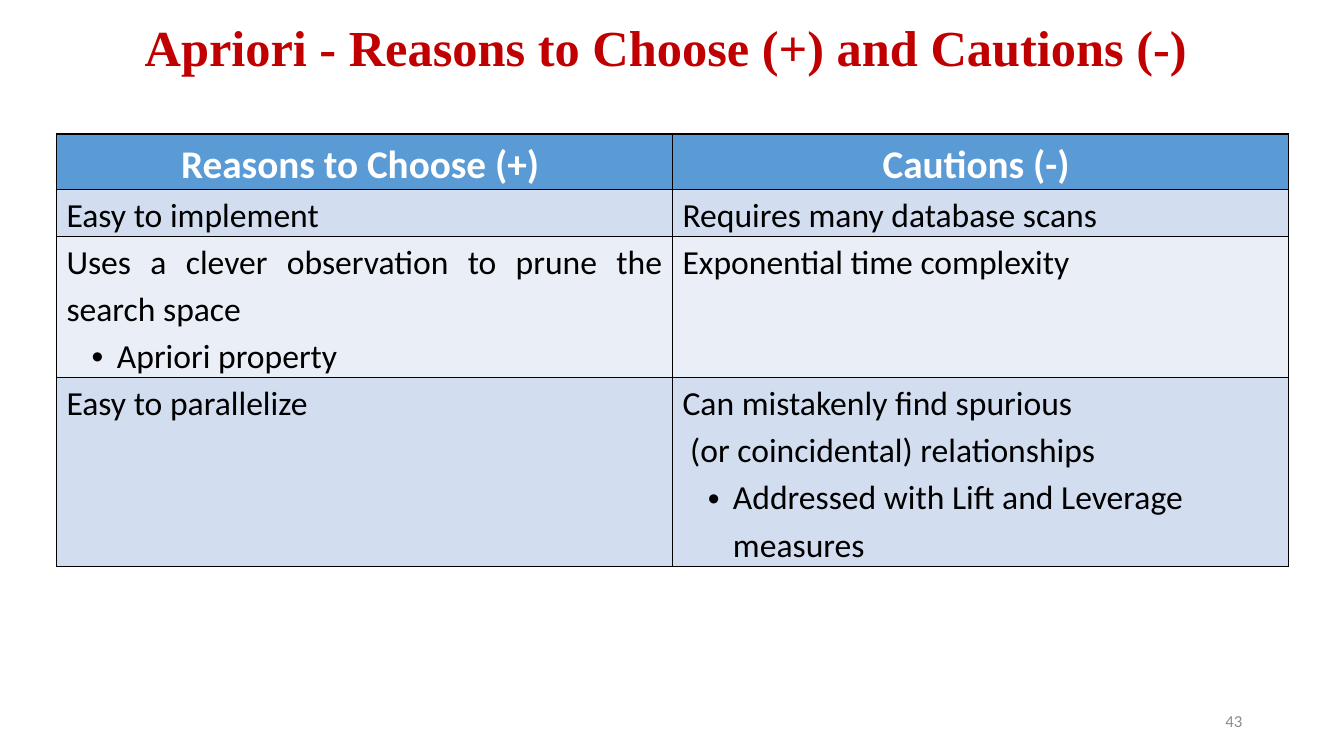
"""Build the slide on reasons to choose Apriori and its cautions."""
from lxml.etree import SubElement
from pptx import Presentation
from pptx.dml.color import RGBColor
from pptx.enum.text import MSO_ANCHOR, PP_ALIGN
from pptx.oxml.ns import qn
from pptx.util import Inches, Pt

TITLE = "Apriori - Reasons to Choose (+) and Cautions (-)"
PAGE_NUMBER = "43"
HEADINGS = ["Reasons to Choose (+) ", "Cautions (-) "]
BULLET = "•"
ROWS = [
    (["Easy to implement"], ["Requires many database scans"]),
    (["Uses a clever observation to prune the search space", BULLET + "Apriori property"],
     ["Exponential time complexity"]),
    (["Easy to parallelize"],
     ["Can mistakenly find spurious", " (or coincidental) relationships",
      BULLET + "Addressed with Lift and Leverage measures"]),
]
COLUMN_WIDTH = 6.11
ROW_HEIGHTS = [0.54, 0.46, 1.38, 1.84]
COLORS = {"title": "C00000", "header": "5B9BD5", "odd": "D2DEEF", "even": "EAEFF7",
          "white": "FFFFFF", "black": "000000", "page": "8C8C8C"}


def format_paragraph(paragraph, text, font, size, color, align, bold=False, spacing=None):
    paragraph.text = text
    paragraph.alignment = align
    if spacing:
        paragraph.line_spacing = spacing
    paragraph.font.name = font
    paragraph.font.size = Pt(size)
    paragraph.font.bold = bold
    paragraph.font.color.rgb = RGBColor.from_string(COLORS[color])


def add_bullet(paragraph):
    properties = paragraph._p.get_or_add_pPr()
    properties.set("marL", str(Inches(0.5)))
    properties.set("indent", str(Inches(-0.25)))
    SubElement(properties, qn("a:buFont")).set("typeface", "Arial")
    SubElement(properties, qn("a:buChar")).set("char", BULLET)


def add_borders(cell):
    properties = cell._tc.get_or_add_tcPr()
    for side in ("lnL", "lnR", "lnT", "lnB"):
        border = SubElement(properties, qn(f"a:{side}"), w=str(Pt(1)))
        fill = SubElement(border, qn("a:solidFill"))
        SubElement(fill, qn("a:srgbClr"), val=COLORS["black"])


def fill_cell(cell, lines, fill, size, color, align, bold):
    cell.margin_left = cell.margin_right = Inches(0.1)
    cell.margin_top = cell.margin_bottom = 0
    add_borders(cell)
    cell.fill.solid()
    cell.fill.fore_color.rgb = RGBColor.from_string(COLORS[fill])
    for index, line in enumerate(lines):
        paragraph = cell.text_frame.add_paragraph() if index else cell.text_frame.paragraphs[0]
        if line.startswith(BULLET):
            paragraph.level = 1
            add_bullet(paragraph)
        format_paragraph(paragraph, line.removeprefix(BULLET), "Calibri", size, color,
                         align, bold, 1.15)


def add_comparison(slide):
    table = slide.shapes.add_table(
        len(ROW_HEIGHTS), len(HEADINGS), Inches(0.56), Inches(1.33),
        Inches(COLUMN_WIDTH * len(HEADINGS)), Inches(sum(ROW_HEIGHTS))).table
    for column in table.columns:
        column.width = Inches(COLUMN_WIDTH)
    for row, height in zip(table.rows, ROW_HEIGHTS):
        row.height = Inches(height)
    for column, heading in enumerate(HEADINGS):
        fill_cell(table.cell(0, column), [heading], "header", 28, "white", PP_ALIGN.CENTER, True)
    for row, entries in enumerate(ROWS, 1):
        for column, lines in enumerate(entries):
            fill_cell(table.cell(row, column), lines, "odd" if row % 2 else "even", 24, "black",
                      PP_ALIGN.LEFT if column else PP_ALIGN.JUSTIFY, False)


def main():
    deck = Presentation()
    deck.slide_width, deck.slide_height = Inches(13.33), Inches(7.5)
    slide = deck.slides.add_slide(deck.slide_layouts[5])
    add_comparison(slide)

    title = slide.shapes.title
    title.left, title.top = Inches(0.44), Inches(0.08)
    title.width, title.height = Inches(12.33), Inches(0.83)
    title.text_frame.vertical_anchor = MSO_ANCHOR.MIDDLE
    format_paragraph(title.text_frame.paragraphs[0], TITLE, "Times New Roman", 36, "title",
                     PP_ALIGN.CENTER, True, 0.9)

    page = slide.shapes.add_textbox(Inches(9.42), Inches(6.95), Inches(3), Inches(0.4)).text_frame
    page.word_wrap = True
    page.vertical_anchor = MSO_ANCHOR.MIDDLE
    format_paragraph(page.paragraphs[0], PAGE_NUMBER, "Calibri", 12, "page", PP_ALIGN.RIGHT)

    deck.save("out.pptx")


if __name__ == "__main__":
    main()
